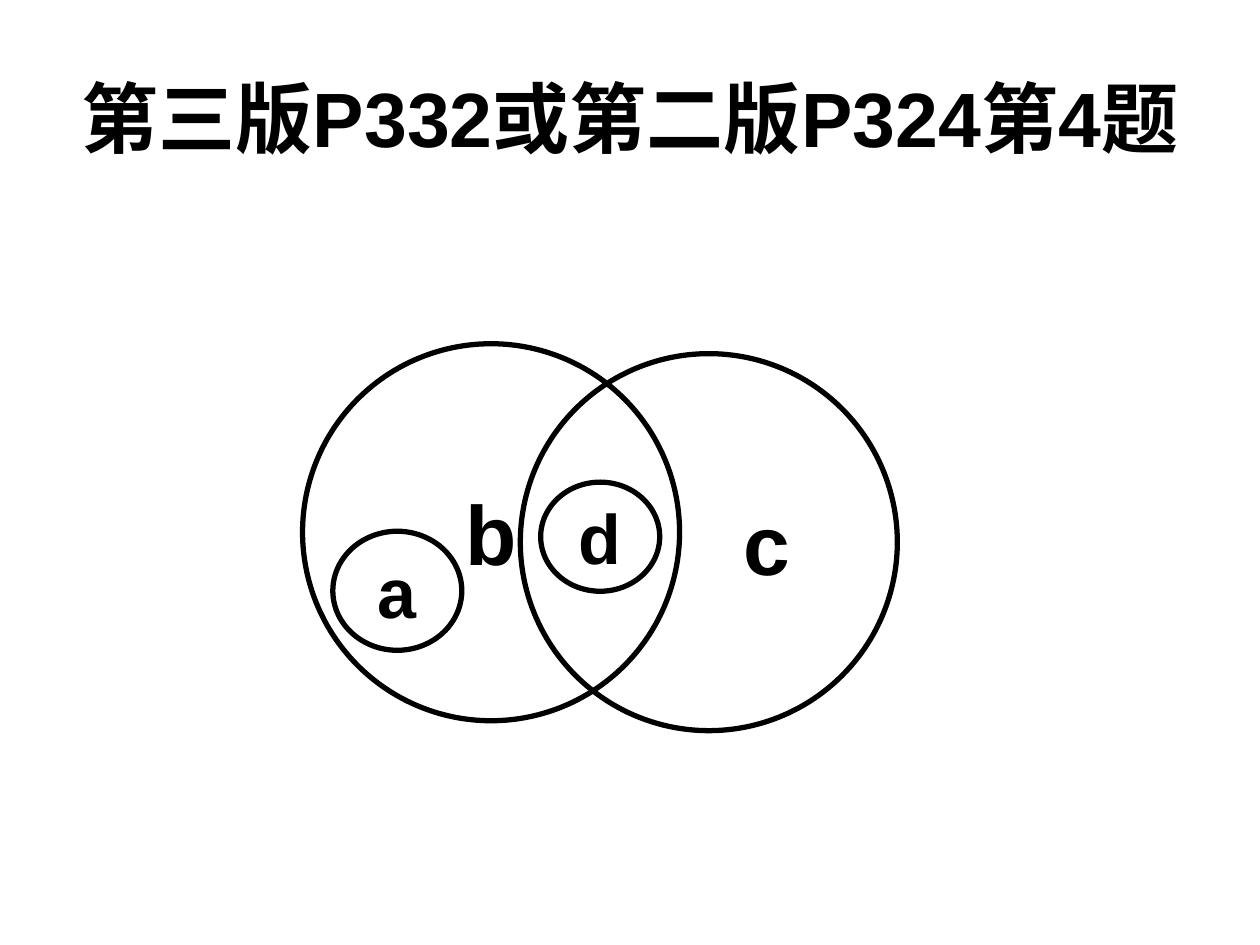
import pptx
import pptx.dml.color
import pptx.enum.shapes
import pptx.enum.text
import pptx.util
from pptx.util import Cm

BLACK = pptx.dml.color.RGBColor(0, 0, 0)
WHITE = pptx.dml.color.RGBColor(255, 255, 255)
FONT_NAME = "Arial"
TITLE_ONLY_LAYOUT = 5


def write_text(shape, text, size, wrap=False, left_inset=0.25):
    frame = shape.text_frame
    frame.auto_size = pptx.enum.text.MSO_AUTO_SIZE.NONE
    frame.word_wrap = wrap
    frame.vertical_anchor = pptx.enum.text.MSO_ANCHOR.MIDDLE
    frame.margin_left = Cm(left_inset)
    frame.margin_right = Cm(0.25)
    frame.margin_top = frame.margin_bottom = Cm(0.13)
    paragraph = frame.paragraphs[0]
    paragraph.alignment = pptx.enum.text.PP_ALIGN.CENTER
    run = paragraph.add_run()
    run.text = text
    run.font.name = FONT_NAME
    run.font.size = pptx.util.Pt(size)
    run.font.bold = True
    run.font.color.rgb = BLACK


def place_title(slide, left, top, width, height):
    title = slide.shapes.title
    title.left, title.top = Cm(left), Cm(top)
    title.width, title.height = Cm(width), Cm(height)
    write_text(title, "第三版P332或第二版P324第4题", size=44, wrap=True)


def add_set(slide, left, top, width, height, label, **text_format):
    ellipse = slide.shapes.add_shape(
        pptx.enum.shapes.MSO_SHAPE.OVAL, Cm(left), Cm(top), Cm(width), Cm(height)
    )
    ellipse.shadow.inherit = False
    ellipse.fill.background()
    ellipse.line.color.rgb = BLACK
    ellipse.line.width = pptx.util.Pt(3)
    write_text(ellipse, label, **text_format)


def add_venn_diagram(slide, left, top, diameter):
    add_set(slide, left, top, diameter, diameter, "b", size=48)
    add_set(slide, left + 4.39, top + 0.2, diameter, diameter, "c", size=48, left_inset=2.57)
    add_set(slide, left + 0.61, top + 3.78, 2.6, 2.4, "a", size=40)
    add_set(slide, left + 4.8, top + 2.79, 2.4, 2.2, "d", size=40)


def main():
    presentation = pptx.Presentation()
    presentation.slide_width = Cm(25.4)
    presentation.slide_height = Cm(19.05)
    slide = presentation.slides.add_slide(presentation.slide_layouts[TITLE_ONLY_LAYOUT])
    slide.background.fill.solid()
    slide.background.fill.fore_color.rgb = WHITE
    place_title(slide, left=1.27, top=0.76, width=22.86, height=3.18)
    add_venn_diagram(slide, left=6.1, top=6.93, diameter=7.6)
    presentation.save("out.pptx")


if __name__ == "__main__":
    main()
